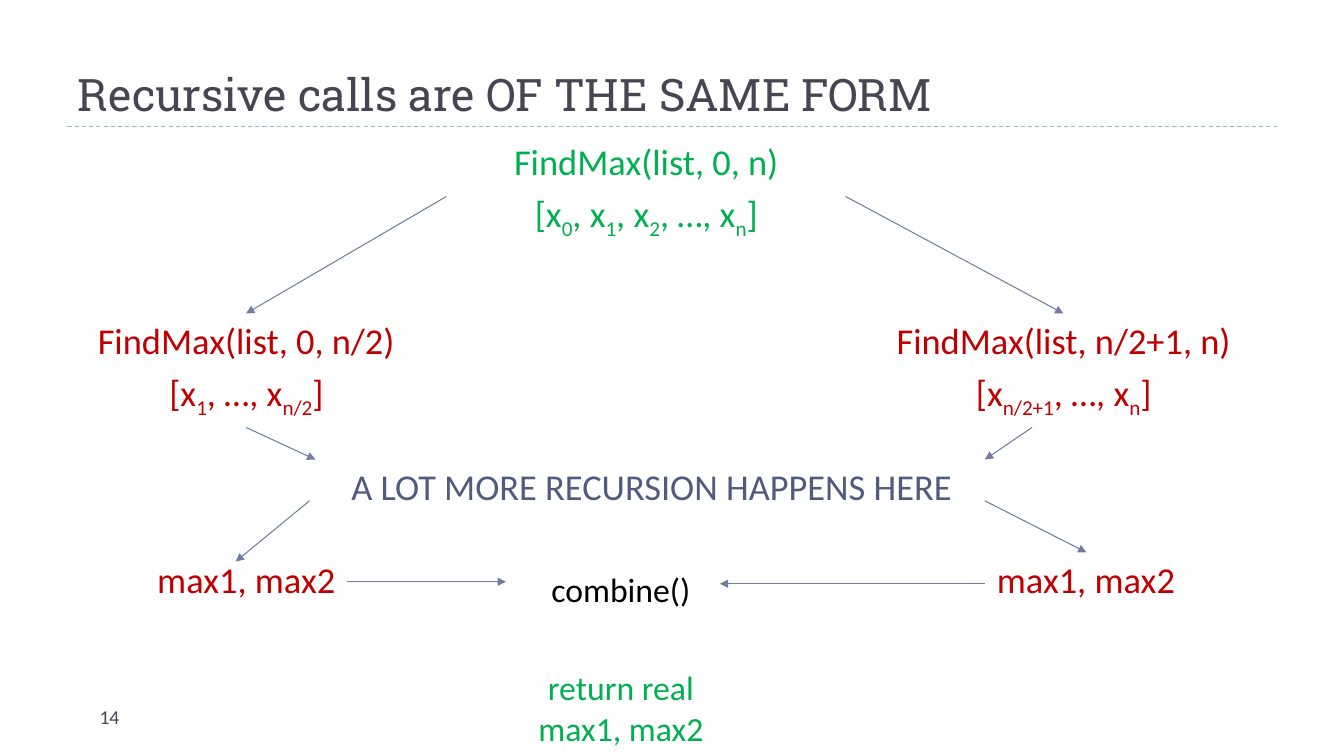
import pptx
import pptx.dml.color
import pptx.enum.dml
import pptx.enum.shapes
import pptx.enum.text
import pptx.oxml
import pptx.oxml.ns
import pptx.util

Cm = pptx.util.Cm
Pt = pptx.util.Pt
RGBColor = pptx.dml.color.RGBColor
Align = pptx.enum.text.PP_ALIGN

SLATE = RGBColor(0x46, 0x46, 0x53)
GREEN = RGBColor(0x00, 0xB0, 0x50)
RED = RGBColor(0xC0, 0x00, 0x00)
INDIGO = RGBColor(0x52, 0x5B, 0x7E)
ARROW = RGBColor(0x72, 0x7C, 0xA3)
RULE = RGBColor(0x9F, 0xB8, 0xCD)
BLACK = RGBColor(0x00, 0x00, 0x00)


def write_line(para, pieces, color, size, align=Align.CENTER, face="Calibri"):
    """Fill a paragraph; every second piece is a subscript."""
    para.alignment = align
    for index, piece in enumerate(pieces):
        span = para.add_run()
        span.text = piece
        for name, value in {"name": face, "size": Pt(size), "bold": False}.items():
            setattr(span.font, name, value)
        span.font.color.rgb = color
        if index % 2:
            span._r.get_or_add_rPr().set("baseline", "-25000")


def add_line(start, end, color):
    line = page.shapes.add_connector(
        pptx.enum.shapes.MSO_CONNECTOR.STRAIGHT, *map(Cm, start + end))
    line.line.color.rgb = color
    line.line.width = Pt(0.75)
    line._element.spPr.append(pptx.oxml.parse_xml(
        f'<a:effectLst {pptx.oxml.ns.nsdecls("a")}/>'))
    return line


deck = pptx.Presentation()
deck.slide_width, deck.slide_height = Cm(33.87), Cm(19.05)
page = deck.slides.add_slide(deck.slide_layouts[5])

# Title and rule
title = page.shapes.title
title_format = {"left": 1.7, "top": 0.43, "width": 30.48, "height": 2.74}
for name, value in title_format.items():
    setattr(title, name, Cm(value))
title.text_frame.vertical_anchor = pptx.enum.text.MSO_ANCHOR.BOTTOM
title.text_frame.auto_size = pptx.enum.text.MSO_AUTO_SIZE.NONE
write_line(title.text_frame.paragraphs[0], ["Recursive calls are OF THE SAME FORM"],
           SLATE, 32, Align.LEFT, "Roboto Slab")
rule = add_line((1.7, 3.18), (32.18, 3.18), RULE)
rule.line.dash_style = pptx.enum.dml.MSO_LINE.DASH

# Calls and results: place, size, alignment, then lines of (pieces, colour)
call_size = (10.08, 3.12)
texts = [
    ((11.25, 3.38), call_size, 26, Align.CENTER, [
        (["FindMax(list, 0, n)"], GREEN),
        (["[x", "0", ", x", "1", ", x", "2", ", …, x", "n", "]"], GREEN)]),
    ((1.17, 7.9), call_size, 26, Align.CENTER, [
        (["FindMax(list, 0, n/2)"], RED),
        (["[x", "1", ", …, x", "n/2", "]"], RED)]),
    ((21.77, 7.9), call_size, 26, Align.CENTER, [
        (["FindMax(list, n/2+1, n)"], RED),
        (["[x", "n/2+1", ", …, x", "n", "]"], RED)]),
    ((1.7, 11.58), (29.46, 1.3), 26, Align.CENTER, [
        (["A LOT MORE RECURSION HAPPENS HERE"], INDIGO)]),
    ((1.17, 13.92), call_size, 26, Align.CENTER, [(["max1, max2"], RED)]),
    ((22.33, 13.92), call_size, 26, Align.CENTER, [(["max1, max2"], RED)]),
    ((12.5, 14.2), (6.3, 4.22), 24.1, Align.CENTER, [
        (["combine()"], BLACK),
        (["return real max1, max2"], GREEN)]),
    ((2.26, 17.65), (7.34, 1.02), 14, Align.LEFT, [(["14"], SLATE)]),
]
for place, extent, size, align, lines in texts:
    frame = page.shapes.add_textbox(*map(Cm, place + extent)).text_frame
    frame.word_wrap = True
    for index, (pieces, color) in enumerate(lines):
        para = frame.add_paragraph() if index else frame.paragraphs[0]
        if index:
            para.space_before = Pt(6)
        write_line(para, pieces, color, size, align)
    if lines[0][0] == ["combine()"]:
        para.space_before = Pt(41.4)

# Arrows between the steps
arrows = [
    ((11.25, 4.95), (6.2, 7.9)),
    ((21.31, 4.95), (26.8, 7.9)),
    ((6.2, 10.77), (7.95, 11.58)),
    ((7.8, 12.62), (5.94, 14.15)),
    ((26.01, 10.77), (24.82, 11.58)),
    ((24.82, 12.62), (27.38, 13.92)),
    ((8.74, 14.66), (12.75, 14.66)),
    ((24.82, 14.71), (18.14, 14.71)),
]
for start, end in arrows:
    arrow = add_line(start, end, ARROW)
    arrow.line._get_or_add_ln().append(pptx.oxml.parse_xml(
        f'<a:tailEnd {pptx.oxml.ns.nsdecls("a")} type="triangle"/>'))

deck.save("out.pptx")
